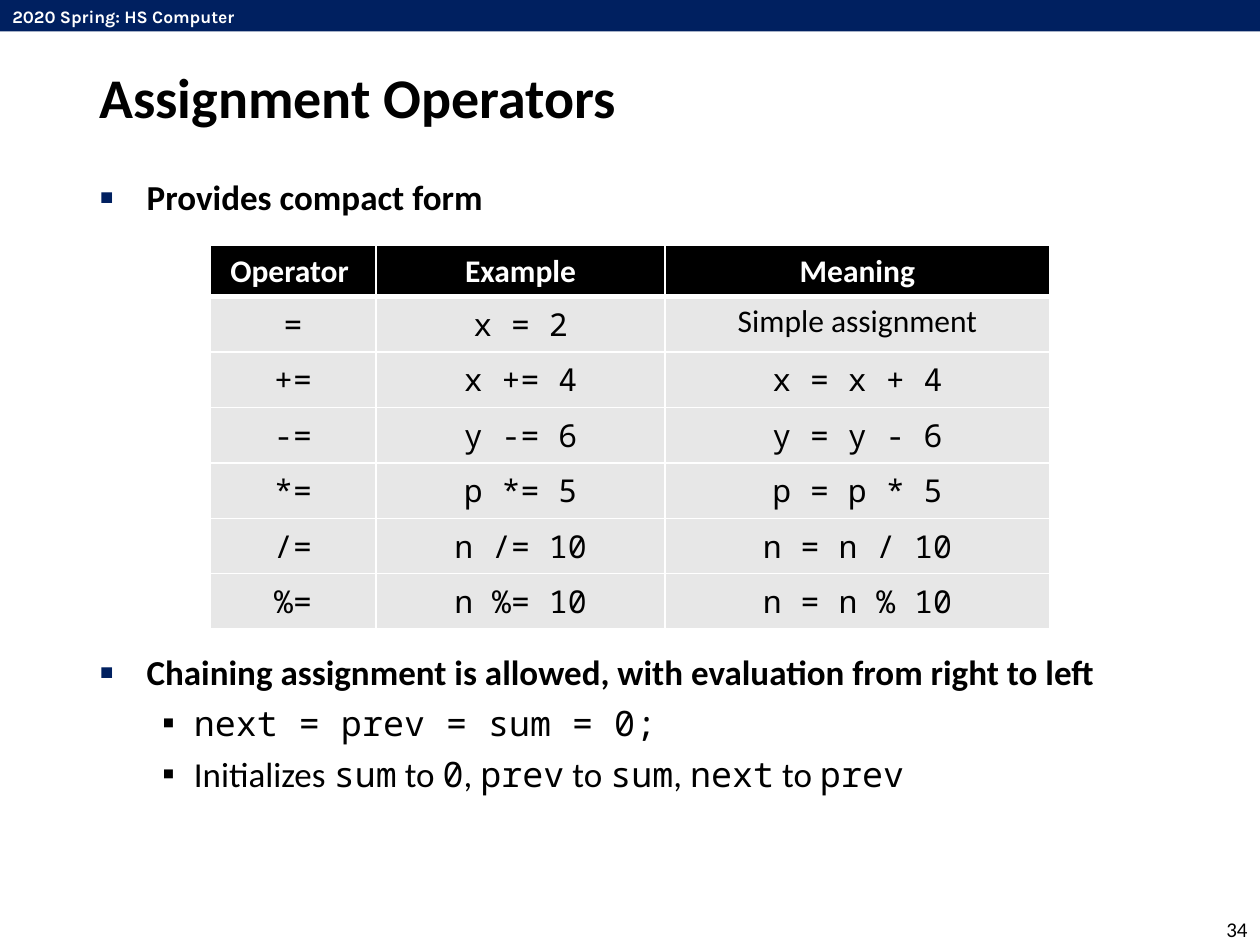
from lxml.etree import SubElement
from pptx import Presentation
from pptx.dml.color import RGBColor
from pptx.enum.shapes import MSO_SHAPE
from pptx.enum.text import MSO_ANCHOR, PP_ALIGN
from pptx.oxml.ns import qn
from pptx.util import Pt

NAVY = RGBColor(0x00, 0x20, 0x60)
BLACK = RGBColor(0x00, 0x00, 0x00)
WHITE = RGBColor(0xFF, 0xFF, 0xFF)
GREY = RGBColor(0xE7, 0xE7, 0xE7)
SANS = "Calibri"
MONO = "Noto Sans Mono"
HEADING = "Karla"

OPERATORS = [
    ("Operator ", "Example", "Meaning"),
    ("=", "x = 2", "Simple assignment"),
    ("+=", "x += 4", "x = x + 4"),
    ("-=", "y -= 6", "y = y - 6"),
    ("*=", "p *= 5", "p = p * 5"),
    ("/=", "n /= 10", "n = n / 10"),
    ("%=", "n %= 10", "n = n % 10"),
]
INITIALIZES = ["Initializes ", "sum", " to ", "0", ", ", "prev", " to ", "sum",
               ", ", "next", " to ", "prev"]


def add_text(para, text, font=SANS, size=20, color=BLACK, bold=False):
    span = para.add_run()
    span.text = text
    span.font.name = font
    span.font.size = Pt(size)
    span.font.color.rgb = color
    span.font.bold = bold


def add_bullet(para, left, hanging, color, percent):
    properties = para._p.get_or_add_pPr()
    properties.set("marL", str(Pt(left)))
    properties.set("indent", str(-Pt(hanging)))
    bullet_color = SubElement(properties, qn("a:buClr"))
    SubElement(bullet_color, qn("a:srgbClr"), val=str(color))
    SubElement(properties, qn("a:buSzPct"), val=str(percent * 1000))
    SubElement(properties, qn("a:buFont"), typeface=SANS)
    SubElement(properties, qn("a:buChar"), char="▪")


def add_borders(cell, bottom):
    """Draw white borders, 1 point wide except for the bottom one."""
    properties = cell._tc.get_or_add_tcPr()
    for side, width in (("L", 1), ("R", 1), ("T", 1), ("B", bottom)):
        line = SubElement(properties, qn(f"a:ln{side}"), w=str(Pt(width)))
        fill = SubElement(line, qn("a:solidFill"))
        SubElement(fill, qn("a:srgbClr"), val=str(WHITE))


class SlideBuilder:
    def __init__(self, slide):
        self.slide = slide

    def bar(self, left, top, width, height):
        shape = self.slide.shapes.add_shape(
            MSO_SHAPE.RECTANGLE, Pt(left), Pt(top), Pt(width), Pt(height))
        shape.shadow.inherit = False
        shape.fill.solid()
        shape.fill.fore_color.rgb = NAVY
        shape.line.fill.background()

    def frame(self, left, top, width, height, anchor=MSO_ANCHOR.TOP, wrap=True):
        box = self.slide.shapes.add_textbox(Pt(left), Pt(top), Pt(width), Pt(height))
        box.text_frame.word_wrap = wrap
        box.text_frame.vertical_anchor = anchor
        return box.text_frame

    def label(self, text, *place, align=PP_ALIGN.LEFT, anchor=MSO_ANCHOR.MIDDLE,
              wrap=True, **style):
        para = self.frame(*place, anchor=anchor, wrap=wrap).paragraphs[0]
        para.alignment = align
        add_text(para, text, **style)

    def bullets(self, heading, details, *place):
        """Add a bold bullet with details, each a list of (text, font) spans."""
        frame = self.frame(*place)
        para = frame.paragraphs[0]
        add_bullet(para, 27, 27, NAVY, 120)
        para.line_spacing = 1.2
        add_text(para, heading, bold=True)
        for spans in details:
            para = frame.add_paragraph()
            add_bullet(para, 54, 18, BLACK, 100)
            para.space_before = Pt(5)
            for text, font in spans:
                add_text(para, text, font=font)

    def table(self, rows, left, top, widths, header_height, row_height):
        heights = [header_height] + [row_height] * (len(rows) - 1)
        table = self.slide.shapes.add_table(
            len(rows), len(widths), Pt(left), Pt(top),
            Pt(sum(widths)), Pt(sum(heights))).table
        for column, width in zip(table.columns, widths):
            column.width = Pt(width)
        for row_index, row in enumerate(rows):
            header = row_index == 0
            table.rows[row_index].height = Pt(heights[row_index])
            for column_index, text in enumerate(row):
                cell = table.cell(row_index, column_index)
                add_borders(cell, bottom=3 if header else 1)
                cell.fill.solid()
                cell.fill.fore_color.rgb = BLACK if header else GREY
                para = cell.text_frame.paragraphs[0]
                para.alignment = PP_ALIGN.CENTER
                plain = header or text == "Simple assignment"
                add_text(para, text, font=SANS if plain else MONO, size=18,
                         color=WHITE if header else BLACK, bold=header)


def main():
    deck = Presentation()
    deck.slide_width, deck.slide_height = Pt(720), Pt(540)
    page = SlideBuilder(deck.slides.add_slide(deck.slide_layouts[6]))

    page.bar(0, 0, 720, 18)
    page.label("2020 Spring: HS Computer", 0, 0, 166.3, 19.4, anchor=MSO_ANCHOR.TOP,
               wrap=False, font=HEADING, size=10, color=WHITE, bold=True)
    page.label("34", 674.6, 522, 45.4, 18, align=PP_ALIGN.RIGHT, size=12)
    page.label("Assignment Operators", 49.7, 28.8, 620.6, 52.6, size=32, bold=True)

    page.bullets("Provides compact form", [], 49.7, 92.2, 620.6, 40)
    page.table(OPERATORS, 120, 140.4, (95, 165, 220), 29, 31.7)
    initializes = [(text, MONO if index % 2 else SANS)
                   for index, text in enumerate(INITIALIZES)]
    page.bullets("Chaining assignment is allowed, with evaluation from right to left",
                 [[("next = prev = sum = 0;", MONO)], initializes],
                 49.7, 363.5, 620.6, 148)

    deck.save("out.pptx")


if __name__ == "__main__":
    main()
